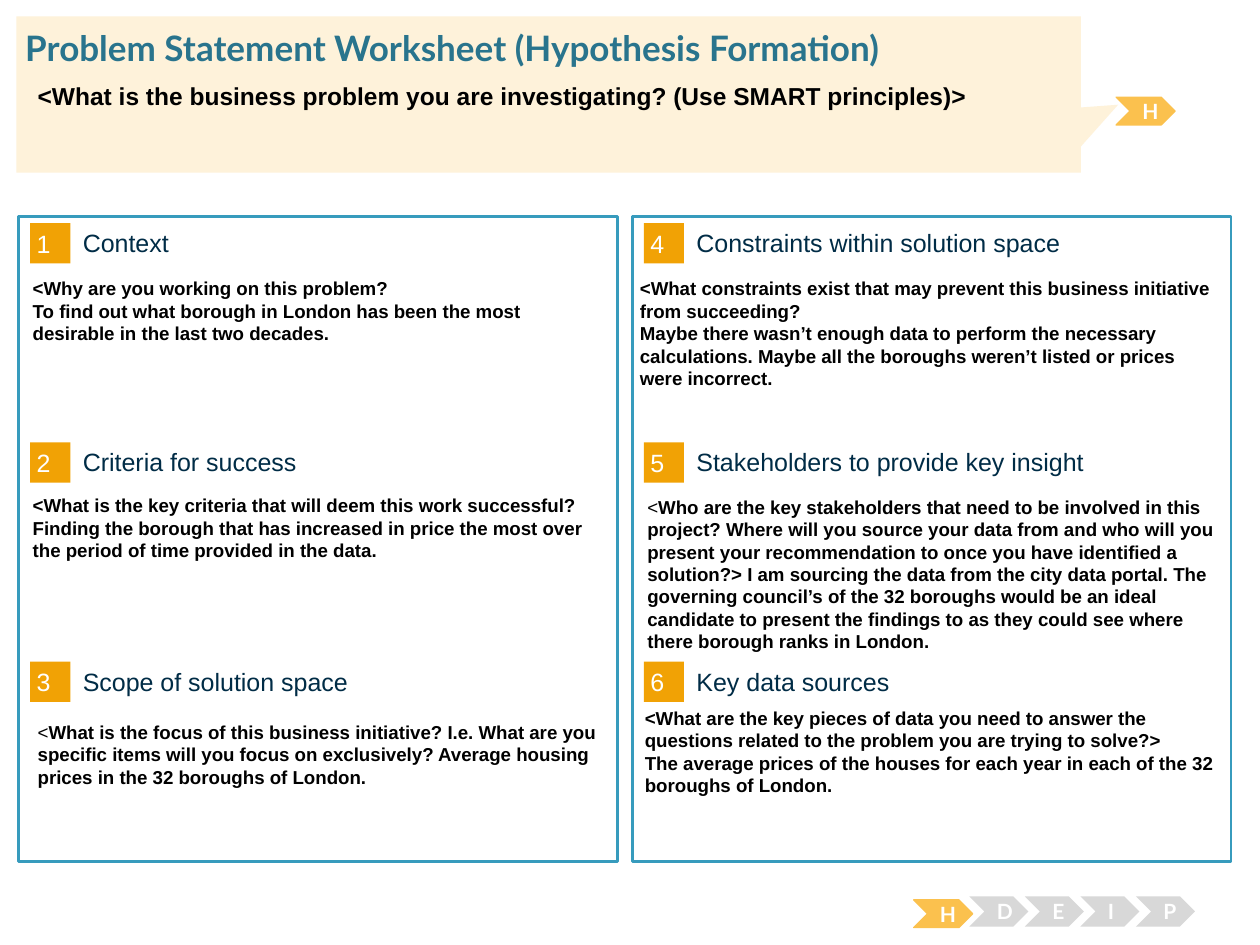
from pptx import Presentation
from pptx.dml.color import RGBColor
from pptx.enum.shapes import MSO_SHAPE as Shape
from pptx.enum.text import MSO_ANCHOR as Anchor, PP_ALIGN as Align
from pptx.util import Cm, Pt

WHITE = RGBColor(0xFF, 0xFF, 0xFF)
BLACK = RGBColor(0x00, 0x00, 0x00)
BLUE = RGBColor(0x37, 0x9B, 0xBD)
TEAL = RGBColor(0x29, 0x74, 0x8D)
NAVY = RGBColor(0x00, 0x2C, 0x46)
ORANGE = RGBColor(0xF1, 0xA2, 0x05)
AMBER = RGBColor(0xFB, 0xC1, 0x4E)
CREAM = RGBColor(0xFE, 0xF2, 0xDA)
GREY = RGBColor(0xD8, 0xD8, 0xD8)

TITLE = dict(name="Lato", size=Pt(20), bold=True, color=TEAL)
QUESTION = dict(name="Arial", size=Pt(14), bold=True, color=BLACK)
BADGE = dict(name="Arial", size=Pt(14.3), bold=False, color=WHITE)
HEADING = dict(BADGE, color=NAVY)
BODY = dict(name="Arial", size=Pt(10.7), bold=True, color=BLACK)
BODY_PLAIN = dict(BODY, bold=False)
STEP = dict(name="Lato", size=Pt(12), bold=True, color=WHITE)

NO_INSET = (0, 0)
SMALL_INSET = (0.13, 0.13)
BODY_INSET = (0.25, 0.13)

PANEL_WIDTH, PANEL_HEIGHT = 12.07, 13
ROW_PITCH = 4.42
STEP_PITCH = 1.12

LEFT_SECTIONS = [
    ("1", "Context", (0.03, 1.09, 3.45), [
        [("<Why are you working on this problem?", BODY)],
        [("To find out what borough in London has been the most desirable "
          "in the last two decades.", BODY)]]),
    ("2", "Criteria for success", (0.03, 1.04, 3.91), [
        [("<What is the key criteria that will deem this work successful?", BODY)],
        [("Finding the borough that has increased in price the most over "
          "the period of time provided in the data.", BODY)]]),
    ("3", "Scope of solution space", (0.13, 1.19, 2.08), [
        [("<", BODY_PLAIN),
         ("What is the focus of this business initiative? I.e. What are you "
          "specific items will you focus on exclusively? Average housing "
          "prices in the 32 boroughs of London.", BODY)]]),
]
RIGHT_SECTIONS = [
    ("4", "Constraints within solution space", (-0.1, 1.09, 3), [
        [("<What constraints exist that may prevent this business initiative "
          "from succeeding?", BODY)],
        [("Maybe there wasn’t enough data to perform the necessary "
          "calculations. Maybe all the boroughs weren’t listed or prices "
          "were incorrect.", BODY)]]),
    ("5", "Stakeholders to provide key insight", (0.05, 1.07, 3), [
        [("<", BODY_PLAIN),
         ("Who are the key stakeholders that need to be involved in this "
          "project? Where will you source your data from and who will you "
          "present your recommendation to once you have identified a "
          "solution?> I am sourcing the data from the city data portal. "
          "The governing council’s of the 32 boroughs would be an ideal "
          "candidate to present the findings to as they could see where "
          "there borough ranks in London.", BODY)]]),
    ("6", "Key data sources", (0, 0.91, 3), [
        [("<What are the key pieces of data you need to answer the questions "
          "related to the problem you are trying to solve?>", BODY)],
        [("The average prices of the houses for each year in each of the 32 "
          "boroughs of London.", BODY)]]),
]


def write(box, paras, inset, anchor=Anchor.TOP, align=Align.LEFT):
    frame = box.text_frame
    side, edge = map(Cm, inset)
    settings = dict(word_wrap=True, vertical_anchor=anchor, margin_left=side,
                    margin_right=side, margin_top=edge, margin_bottom=edge)
    for name, value in settings.items():
        setattr(frame, name, value)
    for index, spans in enumerate(paras):
        para = frame.paragraphs[0] if index == 0 else frame.add_paragraph()
        para.alignment = align
        for text, style in spans:
            span = para.add_run()
            span.text = text
            for name, value in style.items():
                if name == "color":
                    span.font.color.rgb = value
                else:
                    setattr(span.font, name, value)


def add_text(page, place, paras, inset, anchor=Anchor.TOP):
    box = page.shapes.add_textbox(*map(Cm, place))
    write(box, paras, inset, anchor)


def add_block(page, kind, place, fill, line=None, line_width=0.75):
    block = page.shapes.add_shape(kind, *map(Cm, place))
    block.shadow.inherit = False
    block.fill.solid()
    block.fill.fore_color.rgb = fill
    if line is None:
        block.line.fill.background()
    else:
        block.line.color.rgb = line
        block.line.width = Pt(line_width)
    return block


def add_step(page, left, top, letter, active=False):
    place = (left, top, 1.19, 0.56 if active else 0.61)
    fill, line = (AMBER, AMBER) if active else (GREY, None)
    chevron = add_block(page, Shape.CHEVRON, place, fill, line)
    write(chevron, [[(letter, STEP)]], BODY_INSET, Anchor.MIDDLE, Align.CENTER)


def add_section(page, left, top, number, heading, body_place, paras):
    badge = add_block(page, Shape.RECTANGLE, (left + 0.23, top + 0.13, 0.81, 0.81), ORANGE)
    write(badge, [[(number, BADGE)]], SMALL_INSET, Anchor.MIDDLE)
    add_text(page, (left + 1.29, top + 0.2, 9.98, 0.64),
             [[(heading, HEADING)]], NO_INSET, Anchor.MIDDLE)
    shift, drop, height = body_place
    add_text(page, (left + shift, top + drop, 12.01, height), paras, BODY_INSET)


def add_panel(page, left, top, sections):
    add_block(page, Shape.RECTANGLE, (left, top, PANEL_WIDTH, PANEL_HEIGHT), WHITE, BLUE, 1.5)
    for row, section in enumerate(sections):
        add_section(page, left, top + row * ROW_PITCH, *section)


def add_header(page, left, top):
    add_step(page, left + 22.17, top + 1.63, "H", active=True)
    callout = add_block(page, Shape.RECTANGULAR_CALLOUT, (left, top, 21.46, 3.15), CREAM)
    callout.adjustments[0] = 0.535
    callout.adjustments[1] = 0.066
    add_text(page, (left + 0.18, top + 0.2, 24.43, 0.86),
             [[("Problem Statement Worksheet (Hypothesis Formation)", TITLE)]], NO_INSET)
    add_text(page, (left + 0.18, top + 1.17, 23.85, 1.37),
             [[("<What is the business problem you are investigating? "
                "(Use SMART principles)>", QUESTION)]], BODY_INSET)


def add_tracker(page, left, top):
    for index, letter in enumerate("HDEIP"):
        active = index == 0
        add_step(page, left + index * STEP_PITCH, top + 0.07 * active, letter, active)


deck = Presentation()
deck.slide_width, deck.slide_height = Cm(25.4), Cm(19.05)
page = deck.slides.add_slide(deck.slide_layouts[6])
add_panel(page, 0.38, 4.37, LEFT_SECTIONS)
add_panel(page, 12.75, 4.37, RIGHT_SECTIONS)
add_tracker(page, 18.42, 18.07)
add_header(page, 0.33, 0.33)
deck.save("out.pptx")
